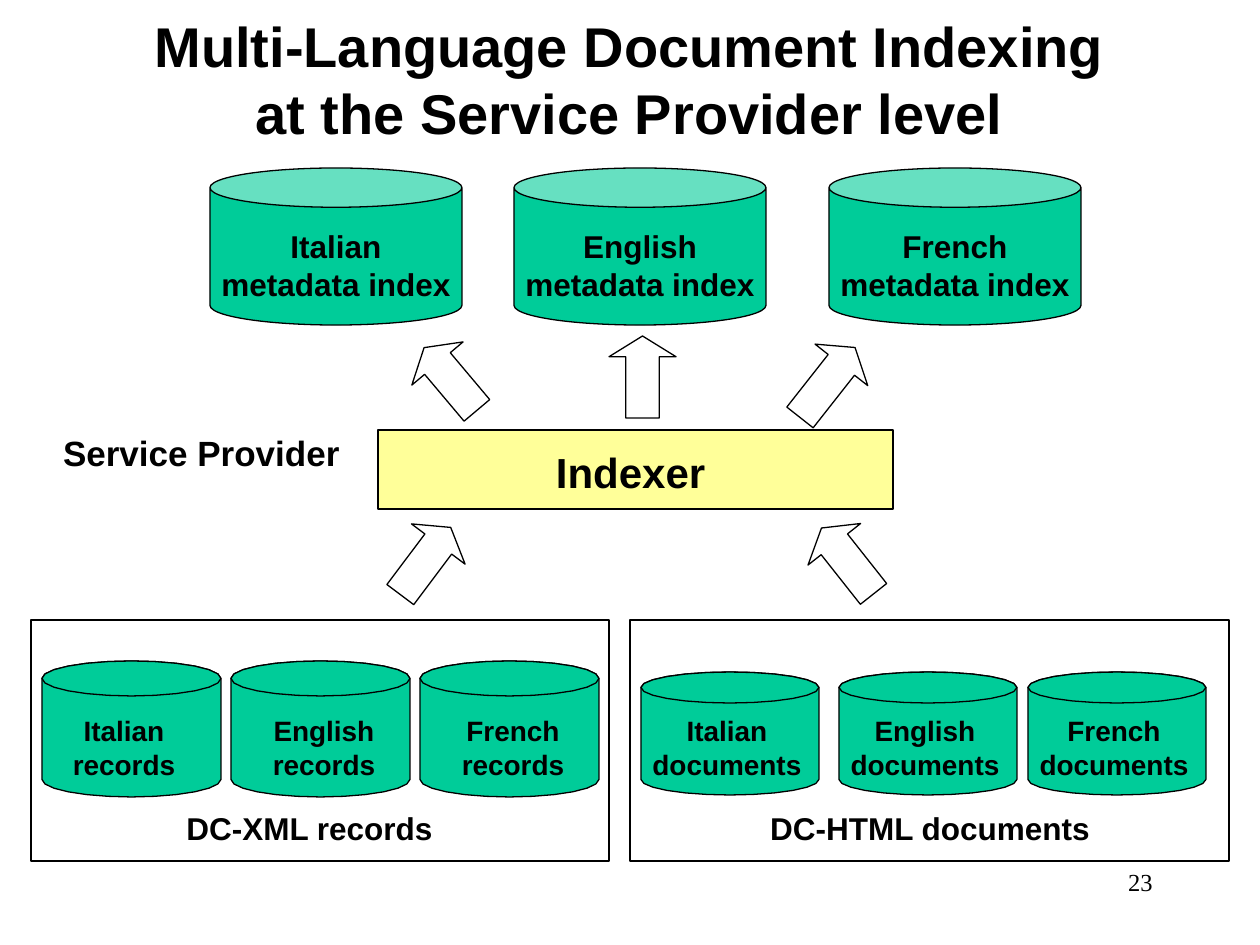
from math import cos, pi, sin

from pptx import Presentation
from pptx import util as u
from pptx.dml.color import RGBColor
from pptx.enum import shapes, text

PX = 914400 / 126
GREEN, YELLOW, BLACK = "00CC99", "FFFF99", "000000"
LEFT, CENTER, RIGHT = text.PP_ALIGN.LEFT, text.PP_ALIGN.CENTER, text.PP_ALIGN.RIGHT

TITLE = "Multi-Language Document Indexing\nat the Service Provider level"
LANGUAGES = ["Italian", "English", "French"]
INDEX_LEFTS = [210, 514, 829]
STORES = [
    {"word": "records", "cans": [42, 231, 420], "top": 661, "size": (179, 136), "lid": 35,
     "labels": [70, 270, 459], "label_width": 108},
    {"word": "documents", "cans": [641, 839, 1028], "top": 672, "size": (178, 123), "lid": 31,
     "labels": [650, 848, 1037], "label_width": 154},
]
FRAMES = [(31, 620, 578, 241), (630, 620, 599, 241)]
CAPTIONS = [
    ("Service Provider", (63, 431, 281, 42), 20, LEFT),
    ("Indexer", (556, 447, 154, 50), 24, LEFT),
    ("DC-XML records", (184, 809, 251, 38), 18, CENTER),
    ("DC-HTML documents", (768, 809, 324, 38), 18, CENTER),
]
ARROWS = [
    ((392, 519, 67, 84), 36.9, 0.31),
    ((814, 519, 67, 84), 321.7, 0.31),
    ((609, 336, 67, 82), 0, 0.31),
    ((417, 338, 67, 82), 319.9, 0.31),
    ((794, 338, 67, 89), 38.2, 0.33),
]


def emu(*lengths):
    return [round(length * PX) for length in lengths]


def color(value):
    return RGBColor.from_string(value)


def style(shape, fill=None, width=0.75):
    shape.shadow.inherit = False
    if fill:
        shape.fill.solid()
        shape.fill.fore_color.rgb = color(fill)
    else:
        shape.fill.background()
    shape.line.color.rgb = color(BLACK)
    shape.line.width = u.Pt(width)


def write(frame, paragraphs, size, align, bold=True, font="Arial"):
    for number, content in enumerate(paragraphs):
        paragraph = frame.add_paragraph() if number else frame.paragraphs[0]
        paragraph.alignment = align
        for index, line in enumerate(content.split("\n")):
            if index:
                paragraph.add_line_break()
            run = paragraph.add_run()
            run.text = line
            run.font.size = u.Pt(size)
            run.font.bold = bold
            run.font.name = font
            run.font.color.rgb = color(BLACK)


def add_text(slide, box, paragraphs, size, align, inset=False, **look):
    frame = slide.shapes.add_textbox(*emu(*box)).text_frame
    frame.word_wrap = inset
    if not inset:
        frame.auto_size = text.MSO_AUTO_SIZE.SHAPE_TO_FIT_TEXT
        frame.margin_left = frame.margin_right = frame.margin_top = frame.margin_bottom = 0
    write(frame, paragraphs, size, align, **look)


def add_preset(slide, kind, box, fill=None, width=0.75):
    shape = slide.shapes.add_shape(kind, *emu(*box))
    style(shape, fill, width)
    return shape


def arc(box, first, last):
    left, top, width, height = box
    angles = [step * pi / 12 for step in range(first, last + 1)]
    return [(left + width / 2 * (1 + cos(angle)), top + height / 2 * (1 + sin(angle)))
            for angle in angles]


def add_outline(slide, points):
    start, *others = [emu(*point) for point in points]
    builder = slide.shapes.build_freeform(*start)
    builder.add_line_segments(others, close=True)
    style(builder.convert_to_shape(), GREEN, 0)


def add_small_can(slide, left, top, width, height, lid):
    rim = (left, top, width, lid)
    base = (left, top + height - lid, width, lid)
    add_outline(slide, arc(rim, 12, 24) + arc(base, 0, 12))
    add_outline(slide, arc(rim, 0, 23))


def main():
    presentation = Presentation()
    presentation.slide_width, presentation.slide_height = u.Inches(10), u.Inches(7.5)
    slide = presentation.slides.add_slide(presentation.slide_layouts[5])

    title = slide.shapes.title
    title.left, title.top, title.width, title.height = emu(94, 0, 1071, 158)
    title.text_frame.auto_size = text.MSO_AUTO_SIZE.NONE
    title.text_frame.vertical_anchor = text.MSO_ANCHOR.MIDDLE
    write(title.text_frame, [TITLE], 32, CENTER)

    preset = shapes.MSO_SHAPE
    for language, left in zip(LANGUAGES, INDEX_LEFTS):
        add_preset(slide, preset.CAN, (left, 168, 252, 157), GREEN)
        add_text(slide, (left - 11, 221, 274, 88), [language, "metadata index"],
                 18, CENTER, inset=True)

    for frame in FRAMES:
        add_preset(slide, preset.RECTANGLE, frame)
    for store in STORES:
        for language, left, label in zip(LANGUAGES, store["cans"], store["labels"]):
            add_small_can(slide, left, store["top"], *store["size"], store["lid"])
            add_text(slide, (label, 714, store["label_width"], 67),
                     [language, store["word"]], 16, CENTER)

    add_preset(slide, preset.RECTANGLE, (378, 430, 515, 79), YELLOW, 0)
    for caption, box, size, align in CAPTIONS:
        add_text(slide, box, [caption], size, align)

    for box, rotation, head in ARROWS:
        arrow = add_preset(slide, preset.UP_ARROW, box)
        arrow.adjustments[0] = 0.5
        arrow.adjustments[1] = head
        arrow.rotation = rotation

    add_text(slide, (903, 861, 262, 63), ["23"], 14, RIGHT, inset=True,
             bold=False, font="Times New Roman")
    presentation.save("out.pptx")


if __name__ == "__main__":
    main()
